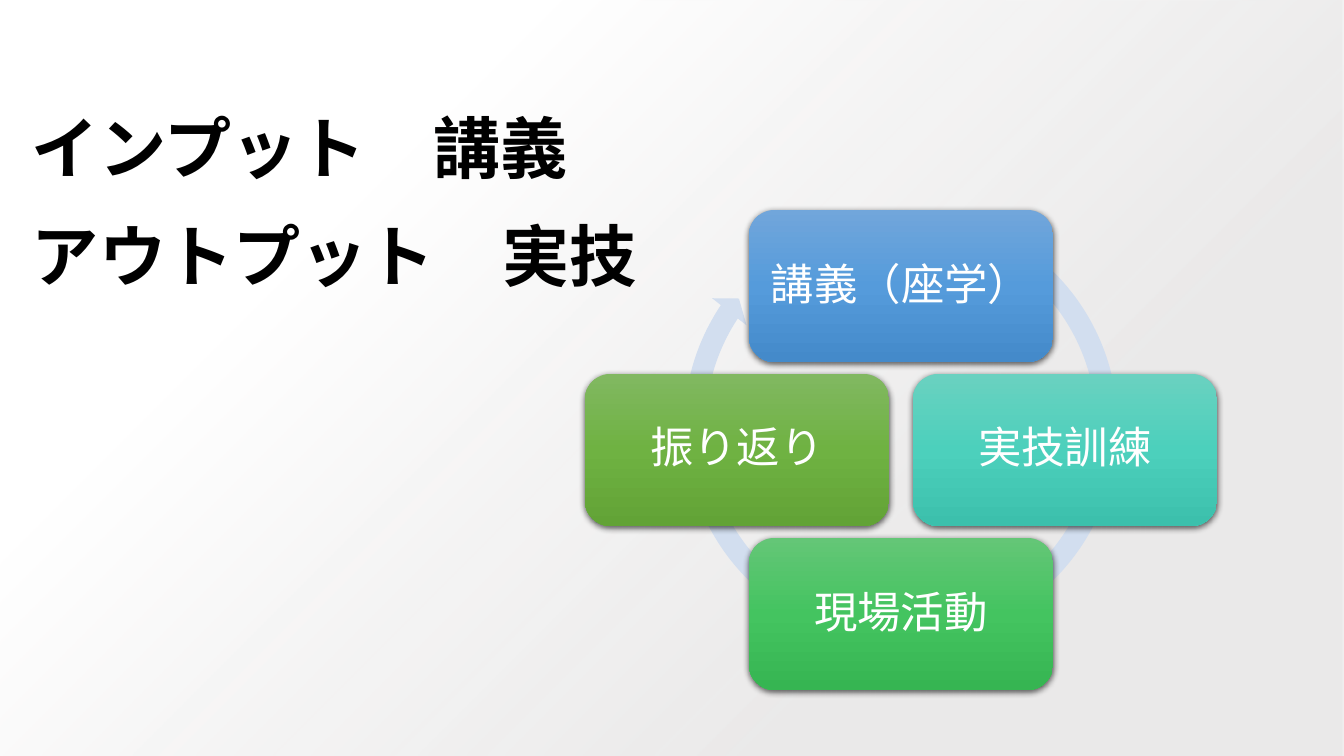
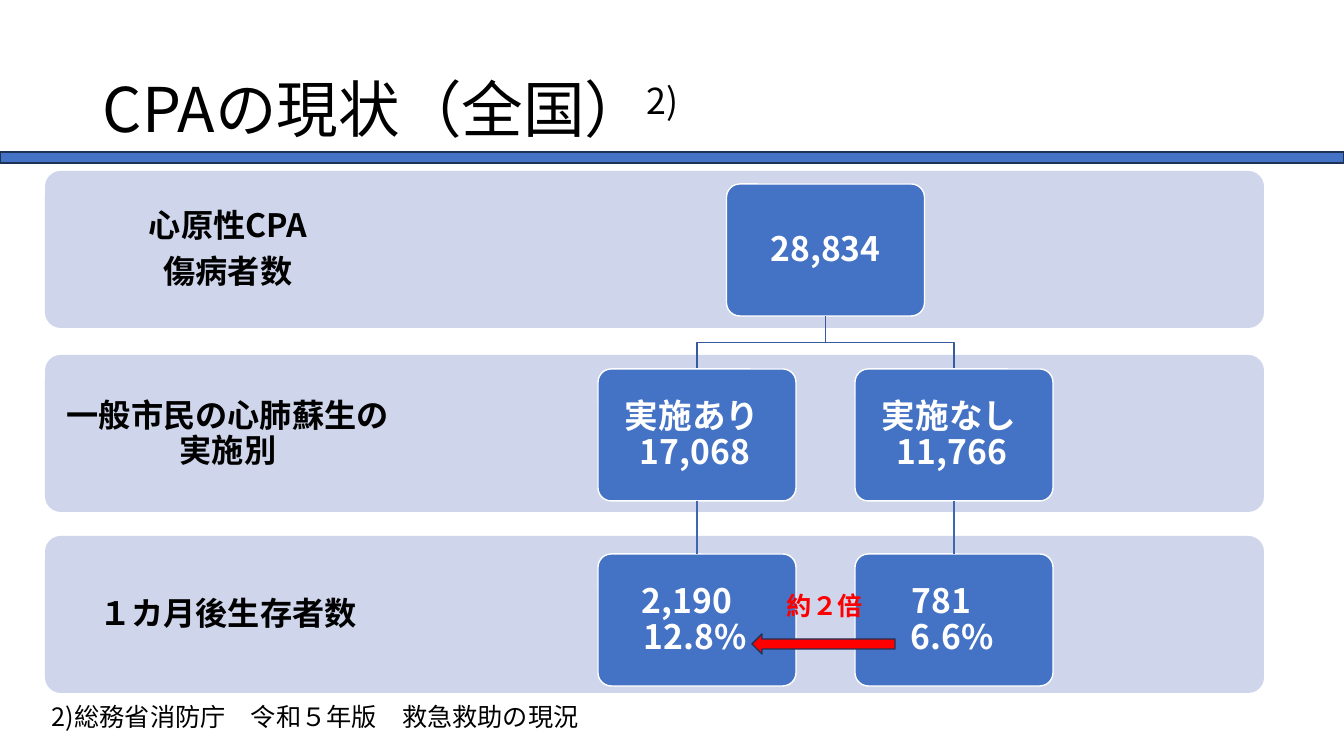
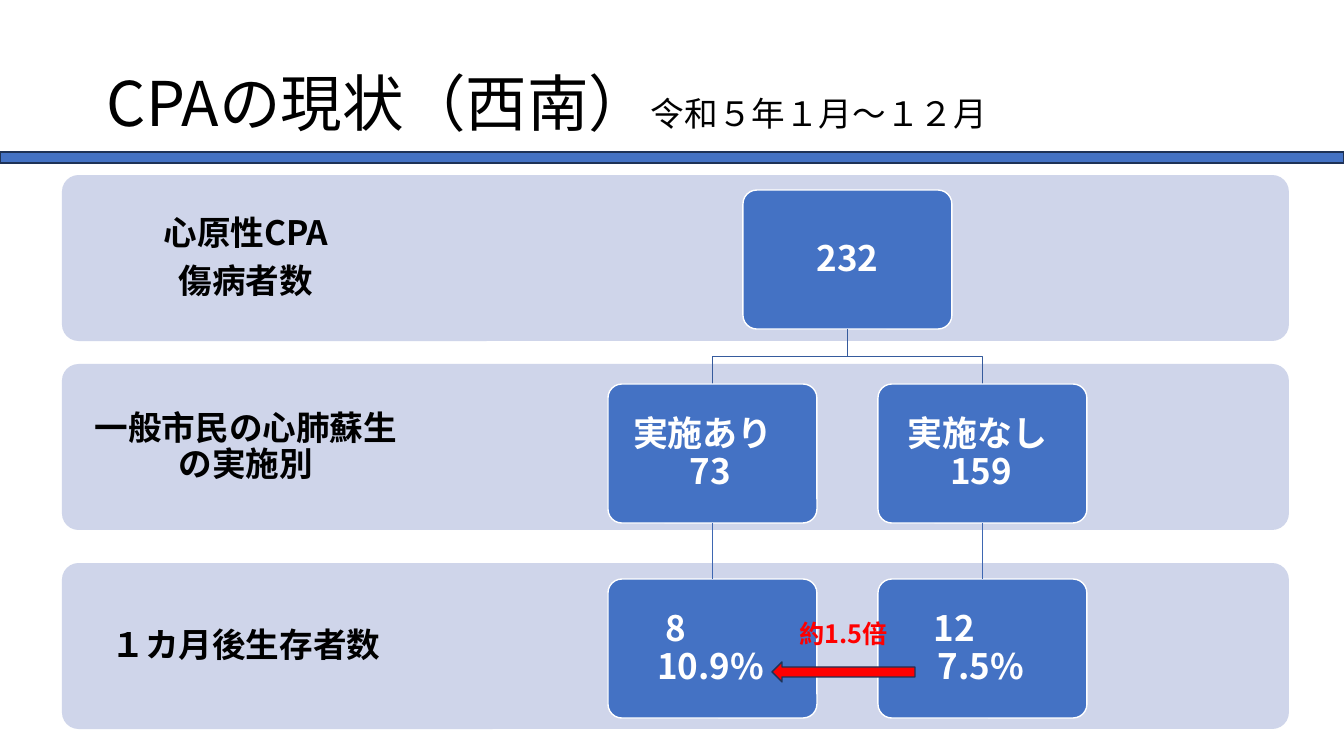
from dataclasses import dataclass
from typing import NamedTuple

from lxml import etree
from pptx import Presentation
from pptx.dml.color import RGBColor
from pptx.enum.shapes import MSO_CONNECTOR, MSO_SHAPE
from pptx.enum.text import MSO_ANCHOR, PP_ALIGN
from pptx.oxml import parse_xml
from pptx.oxml.ns import nsdecls, qn
from pptx.util import Emu, Pt

SCALE = 914400 / 100.8
WIDTH, HEIGHT = 1344, 756
FONT = "Noto Sans CJK JP"

BLACK = RGBColor(0x00, 0x00, 0x00)
WHITE = RGBColor(0xFF, 0xFF, 0xFF)
RED = RGBColor(0xFF, 0x00, 0x00)
BLUE = RGBColor(0x44, 0x72, 0xC4)
NAVY = RGBColor(0x1E, 0x32, 0x56)
FORK = RGBColor(0x36, 0x5B, 0x9D)
STEM = RGBColor(0x3E, 0x67, 0xB2)
PALE = RGBColor(0xCF, 0xD5, 0xEA)
RING = RGBColor(0xD2, 0xDE, 0xEF)
GREY = RGBColor(0xE7, 0xE6, 0xE6)

RECT = MSO_SHAPE.RECTANGLE
ROUND = MSO_SHAPE.ROUNDED_RECTANGLE
ARROW = MSO_SHAPE.LEFT_ARROW
CYCLE = MSO_SHAPE.CIRCULAR_ARROW
STRAIGHT = MSO_CONNECTOR.STRAIGHT
LEFT, CENTER = PP_ALIGN.LEFT, PP_ALIGN.CENTER
TOP, MIDDLE = MSO_ANCHOR.TOP, MSO_ANCHOR.MIDDLE


class Box(NamedTuple):
    x: int
    y: int
    w: int
    h: int


class Line(NamedTuple):
    text: str
    indent: int = 0


class Stop(NamedTuple):
    place: int
    color: RGBColor
    alpha: int = 100


class Step(NamedTuple):
    text: str
    dx: int
    dy: int
    tones: tuple[RGBColor, RGBColor, RGBColor]


@dataclass(frozen=True)
class Style:
    size: int
    color: RGBColor = BLACK
    bold: bool = False
    align: PP_ALIGN = LEFT
    lead: float | Pt = 0.9
    after: int = 0
    anchor: MSO_ANCHOR = TOP
    pad: tuple[int, int] = (10, 5)


@dataclass(frozen=True)
class Tree:
    bands: Box
    tops: tuple[int, int, int]
    label: Box
    pad: int
    size: int
    node: tuple[int, int]
    rows: tuple[int, int, int]
    cols: tuple[int, int]
    total: str
    cells: tuple[tuple[tuple[Line, Line], tuple[Line, Line]], ...]
    note: str
    spot: Box
    arrow: Box


LABELS = (
    (Line("心原性CPA"), Line("傷病者数")),
    (Line("一般市民の心肺蘇生の実施別"),),
    (Line("１カ月後生存者数"),),
)

NATION = Tree(
    bands=Box(45, 0, 1219, 157), tops=(171, 355, 536),
    label=Box(45, 0, 366, 157), pad=18, size=24,
    node=(198, 132), rows=(184, 369, 554), cols=(598, 855),
    total="28,834",
    cells=(
        ((Line("実施あり", 13), Line("17,068", 28)),
         (Line("実施なし", 13), Line("11,766", 28))),
        ((Line("2,190", 30), Line("12.8%", 32)),
         (Line("781", 43), Line("6.6%", 42))),
    ),
    note="約２倍", spot=Box(777, 589, 154, 40), arrow=Box(752, 634, 143, 20),
)

LOCAL = Tree(
    bands=Box(62, 0, 1227, 166), tops=(175, 364, 563),
    label=Box(62, 0, 368, 166), pad=19, size=25,
    node=(209, 139), rows=(190, 384, 579), cols=(608, 878),
    total="232",
    cells=(
        ((Line("実施あり", 11), Line("73", 68)),
         (Line("実施なし", 16), Line("159", 58))),
        ((Line("8", 43), Line("10.9%", 35)),
         (Line("12", 42), Line("7.5%", 46))),
    ),
    note="約1.5倍", spot=Box(789, 617, 154, 40), arrow=Box(772, 662, 143, 20),
)

STEPS = (
    Step("講義（座学）", 0, -1, (RGBColor(0x71, 0xA6, 0xDB),
         RGBColor(0x55, 0x9B, 0xDB), RGBColor(0x44, 0x8A, 0xCA))),
    Step("実技訓練", 1, 0, (RGBColor(0x6A, 0xD1, 0xC0),
         RGBColor(0x4C, 0xD0, 0xBC), RGBColor(0x3C, 0xC0, 0xAC))),
    Step("現場活動", 0, 1, (RGBColor(0x64, 0xC6, 0x77),
         RGBColor(0x44, 0xC4, 0x60), RGBColor(0x36, 0xB5, 0x52))),
    Step("振り返り", -1, 0, (RGBColor(0x81, 0xB8, 0x61),
         RGBColor(0x6F, 0xB2, 0x42), RGBColor(0x62, 0xA3, 0x36))),
)


def px(value: float) -> Emu:
    return Emu(round(value * SCALE))


def place(box: Box) -> tuple[Emu, ...]:
    return tuple(px(side) for side in box)


def write(shape, lines: tuple[Line, ...], style: Style) -> None:
    frame = shape.text_frame
    frame.word_wrap = True
    frame.vertical_anchor = style.anchor
    frame.margin_left = frame.margin_right = px(style.pad[0])
    frame.margin_top = frame.margin_bottom = px(style.pad[1])
    for i, line in enumerate(lines):
        para = frame.add_paragraph() if i else frame.paragraphs[0]
        para.text = line.text
        para.alignment = style.align
        para.line_spacing = style.lead
        para.space_after = Pt(style.after)
        if line.indent:
            para._p.get_or_add_pPr().set("marL", str(px(line.indent)))
        font = para.font
        font.size = Pt(style.size)
        font.bold = style.bold
        font.color.rgb = style.color
        font.name = FONT
        base = para._p.pPr.find(qn("a:defRPr"))
        etree.SubElement(base, qn("a:ea")).set("typeface", FONT)


def add_text(slide, box: Box, lines: tuple[Line, ...], style: Style):
    area = slide.shapes.add_textbox(*place(box))
    write(area, lines, style)
    return area


def add_shape(slide, kind: MSO_SHAPE, box: Box, fill: RGBColor | None = None,
              edge: RGBColor | None = None, curve: float | None = None):
    shape = slide.shapes.add_shape(kind, *place(box))
    shape.shadow.inherit = False
    if curve is not None:
        shape.adjustments[0] = curve
    if fill is None:
        shape.fill.background()
    else:
        shape.fill.solid()
        shape.fill.fore_color.rgb = fill
    if edge is None:
        shape.line.fill.background()
    else:
        shape.line.color.rgb = edge
        shape.line.width = Pt(1)
    return shape


def blend(shape, stops: tuple[Stop, ...], course: str) -> None:
    marks = "".join(
        f'<a:gs pos="{s.place * 1000}"><a:srgbClr val="{s.color}">'
        f'<a:alpha val="{s.alpha * 1000}"/></a:srgbClr></a:gs>'
        for s in stops
    )
    grad = parse_xml(
        f'<a:gradFill {nsdecls("a")} rotWithShape="1">'
        f"<a:gsLst>{marks}</a:gsLst>{course}</a:gradFill>"
    )
    props = shape._element.spPr
    props.replace(props.find(qn("a:noFill")), grad)


def shade(shape) -> None:
    shape._element.spPr.find(qn("a:effectLst")).append(parse_xml(
        f'<a:outerShdw {nsdecls("a")} blurRad="{Pt(4.5)}" dist="{Pt(1.5)}" '
        'dir="5400000" algn="ctr" rotWithShape="0"><a:srgbClr val="000000">'
        '<a:alpha val="63000"/></a:srgbClr></a:outerShdw>'
    ))


def add_fork(slide, start: tuple[float, int], end: tuple[float, int]) -> None:
    mid = (start[1] + end[1]) / 2
    points = [(start[0], mid), (end[0], mid), end]
    pen = slide.shapes.build_freeform(px(start[0]), px(start[1]))
    pen.add_line_segments([(px(x), px(y)) for x, y in points], close=False)
    fork = pen.convert_to_shape()
    fork.shadow.inherit = False
    fork.fill.background()
    fork.line.color.rgb = FORK
    fork.line.width = Pt(1)


def add_stem(slide, upper, lower) -> None:
    stem = slide.shapes.add_connector(STRAIGHT, 0, 0, 0, 0)
    stem.begin_connect(upper, 2)
    stem.end_connect(lower, 0)
    stem.line.color.rgb = STEM
    stem.line.width = Pt(1)
    etree.SubElement(stem._element.spPr, qn("a:effectLst"))


def add_title(slide, box: Box, text: str, tail: str,
              size: int | None = None) -> None:
    area = add_text(slide, box, (Line(text),), Style(44, anchor=MIDDLE))
    run = area.text_frame.paragraphs[0].add_run()
    run.text = tail
    if size:
        run.font.size = Pt(size)
    else:
        run._r.get_or_add_rPr().set("baseline", "30000")
    add_shape(slide, RECT, Box(0, 152, WIDTH, 11), BLUE, NAVY)


def add_tree(slide, tree: Tree) -> None:
    small = tree.size - 1
    label = Style(small, bold=True, align=CENTER, lead=Pt(round(small * 1.08)),
                  after=8, anchor=MIDDLE, pad=(tree.pad, tree.pad))
    for top, lines in zip(tree.tops, LABELS):
        add_shape(slide, ROUND, tree.bands._replace(y=top), PALE, curve=0.1)
        add_text(slide, tree.label._replace(y=top), lines, label)

    wide, high = tree.node
    lead = Pt(round(tree.size * 1.08))

    def add_node(x: float, y: int, lines: tuple[Line, ...], align: PP_ALIGN):
        node = add_shape(slide, ROUND, Box(x, y, wide, high), BLUE, WHITE, 0.1)
        write(node, lines, Style(tree.size, WHITE, True, align, lead,
                                 anchor=MIDDLE, pad=(10, 10)))
        return node

    root = sum(tree.cols) / 2
    first, second, third = tree.rows
    add_node(root, first, (Line(tree.total),), CENTER)
    for x, upper, lower in zip(tree.cols, *tree.cells):
        add_fork(slide, (root + wide / 2, first + high), (x + wide / 2, second))
        add_stem(slide, add_node(x, second, upper, LEFT),
                 add_node(x, third, lower, LEFT))
    add_text(slide, tree.spot, (Line(tree.note),), Style(18, RED, True))
    add_shape(slide, ARROW, tree.arrow, RED, NAVY)


def draw_cycle(slide) -> None:
    back = add_shape(slide, RECT, Box(0, 0, WIDTH, HEIGHT))
    blend(back, (Stop(28, GREY, 84), Stop(74, WHITE)),
          '<a:path path="circle"><a:fillToRect l="100000" t="100000"/></a:path>')
    add_text(slide, Box(22, 83, 700, 230),
             (Line("インプット　講義"), Line("アウトプット　実技")),
             Style(48, bold=True, lead=Pt(71), after=6))
    ring = add_shape(slide, CYCLE, Box(673, 198, 456, 456), RING)
    for i, value in enumerate((0.047, 2.729, 128.177, 180.402, 0.048)):
        ring.adjustments[i] = value
    style = Style(31, WHITE, align=CENTER, anchor=MIDDLE, pad=(13, 13))
    for step in STEPS:
        box = Box(749 + 164 * step.dx, 374 + 164 * step.dy, 304, 152)
        node = add_shape(slide, ROUND, box)
        stops = tuple(Stop(50 * i, tone) for i, tone in enumerate(step.tones))
        blend(node, stops, '<a:lin ang="5400000" scaled="0"/>')
        shade(node)
        write(node, (Line(step.text),), style)


def draw_nation(slide) -> None:
    add_title(slide, Box(93, 40, 1159, 146), "CPAの現状（全国）", "2)")
    add_tree(slide, NATION)
    add_text(slide, Box(42, 700, 948, 40),
             (Line("2)総務省消防庁　令和５年版　救急救助の現況"),), Style(18))


def draw_local(slide) -> None:
    add_title(slide, Box(97, 34, 1159, 146), "CPAの現状（西南）",
              "令和５年１月～１２月", 24)
    add_tree(slide, LOCAL)


def main() -> None:
    deck = Presentation()
    deck.slide_width, deck.slide_height = px(WIDTH), px(HEIGHT)
    for draw in (draw_cycle, draw_nation, draw_local):
        draw(deck.slides.add_slide(deck.slide_layouts[6]))
    deck.save("out.pptx")


if __name__ == "__main__":
    main()
